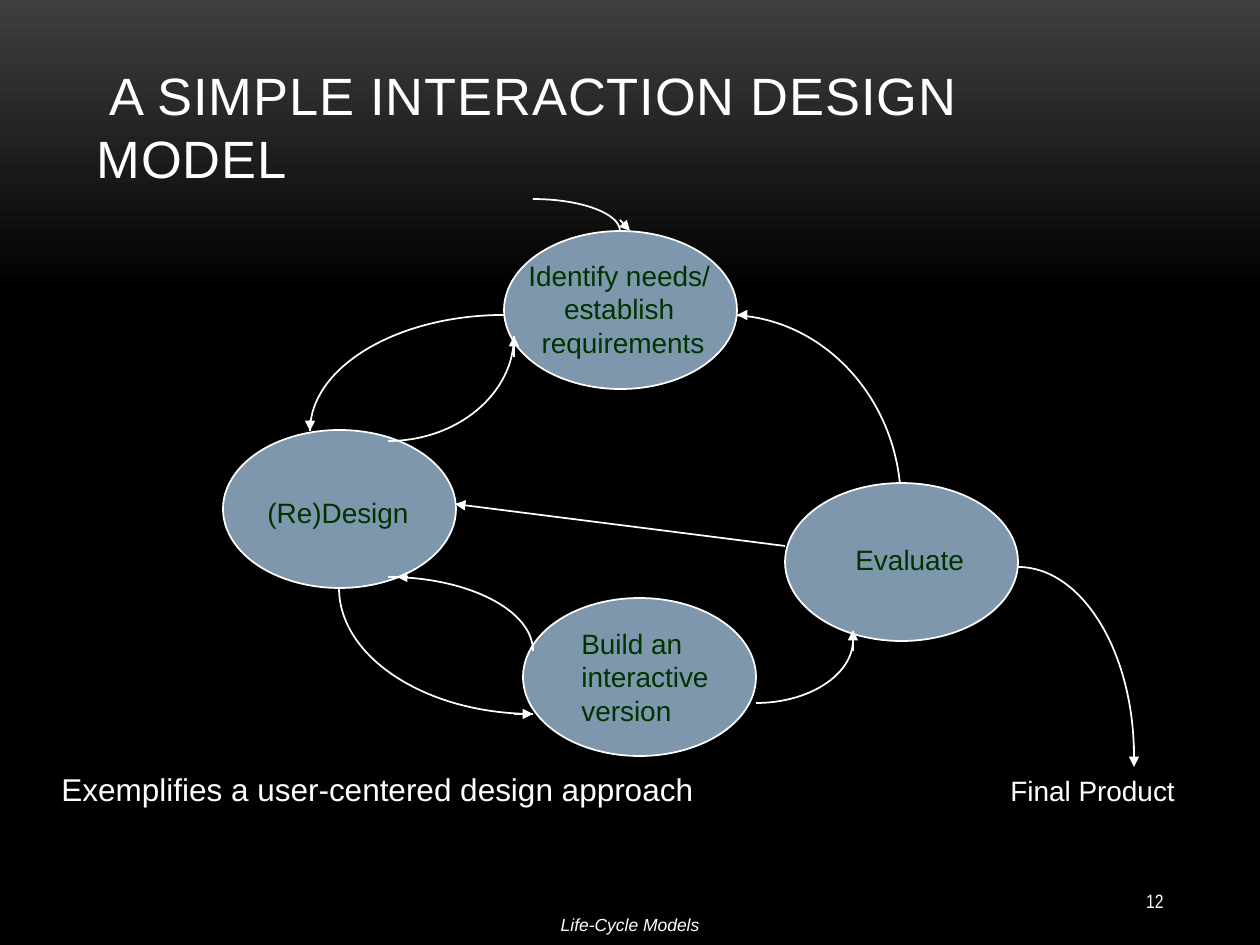
from copy import deepcopy

from lxml.etree import SubElement
from pptx import Presentation
from pptx.dml.color import RGBColor
from pptx.enum.shapes import MSO_CONNECTOR, MSO_SHAPE
from pptx.enum.text import MSO_ANCHOR, PP_ALIGN as ALIGN
from pptx.oxml.ns import qn
from pptx.util import Pt

PX = 914400 / 126
BEND = 0.55  # control-point share that makes a Bezier a quarter ellipse
WHITE, BLUE, GREEN = "FFFFFF", "7E97AD", "003300"
rgb = RGBColor.from_string


def emu(*lengths):
    """Turn px lengths into EMU."""
    return [round(length * PX) for length in lengths]


def write(frame, text, size, color, align=ALIGN.LEFT, font="Arial", italic=False):
    frame.text = text
    for paragraph in frame.paragraphs:
        paragraph.alignment = align
        for run in paragraph.runs:
            run.font.name = font
            run.font.size = Pt(size)
            run.font.italic = italic
            run.font.color.rgb = rgb(color)


prs = Presentation()
prs.slide_width, prs.slide_height = emu(1260, 945)
slide = prs.slides.add_slide(prs.slide_layouts[5])
shapes = slide.shapes

# Background: dark grey fading to black in the top third
backdrop = slide.background.fill
backdrop.gradient()
backdrop.gradient_angle = 270
fade_start, fade_end = backdrop.gradient_stops
fade_start.color.rgb, fade_start.position = rgb("3F3F3F"), 0
fade_end.color.rgb, fade_end.position = rgb("000000"), 0.31
last_stop = list(slide.element.iter(qn("a:gs")))[-1]
bottom_stop = deepcopy(last_stop)
bottom_stop.set("pos", "100000")
last_stop.addnext(bottom_stop)

title = shapes.title
title.left, title.top, title.width, title.height = emu(84, 38, 1092, 157)
title.text_frame.vertical_anchor = MSO_ANCHOR.BOTTOM
title.text_frame.margin_right = emu(30)[0]
write(title.text_frame, " A SIMPLE INTERACTION DESIGN MODEL", 30, WHITE)
title.text_frame.paragraphs[0].runs[0].font._element.set("spc", "50")

# Curved paths, each from its horizontal end to its vertical end
curves = [
    (727, 315, 901, 504),   # evaluate to requirements
    (504, 315, 310, 431),   # requirements to design
    (388, 441, 514, 336),   # design to requirements
    (533, 714, 339, 588),   # design to build
    (388, 577, 533, 651),   # build to design
    (756, 703, 853, 640),   # build to evaluate
    (1018, 567, 1134, 756), # evaluate to final product
    (533, 199, 620, 231),   # entry to requirements
]
stages = [(504, 231), (223, 430), (785, 483), (523, 598)]

drawn_curves = []
for x1, y1, x2, y2 in curves:
    builder = shapes.build_freeform(*emu(x1, y1))
    controls = [(x1 + BEND * (x2 - x1), y1), (x2, y2 - BEND * (y2 - y1)), (x2, y2)]
    builder.add_line_segments([emu(*point) for point in controls], close=False)
    curve = builder.convert_to_shape()
    curve.shadow.inherit = False
    curve.fill.background()
    curve.line.color.rgb = rgb(WHITE)
    curve.line.width = Pt(1)
    outline = next(curve._element.iter(qn("a:path")))
    bezier = SubElement(outline, qn("a:cubicBezTo"))
    for segment in outline.findall(qn("a:lnTo")):
        bezier.append(segment[0])
        outline.remove(segment)
    drawn_curves.append(curve)

for left, top in stages:
    stage = shapes.add_shape(MSO_SHAPE.OVAL, *emu(left, top, 233, 158))
    stage.shadow.inherit = False
    stage.fill.solid()
    stage.fill.fore_color.rgb = rgb(BLUE)
    stage.line.color.rgb = rgb(WHITE)
    stage.line.width = Pt(1)

# Only the first curve runs behind the ellipses
for curve in drawn_curves[1:]:
    shapes._spTree.append(curve._element)

arrows = [
    (1134, 746, 1134, 767),
    (407, 577, 397, 577),
    (514, 714, 533, 714),
    (310, 420, 310, 431),
    (514, 357, 514, 336),
    (785, 546, 455, 504),
    (853, 651, 853, 630),
    (620, 220, 630, 231),
    (746, 315, 737, 315),
]
for ends in arrows:
    arrow = shapes.add_connector(MSO_CONNECTOR.STRAIGHT, *emu(*ends))
    arrow.line.color.rgb = rgb(WHITE)
    arrow.line.width = Pt(1)
    SubElement(arrow.line._get_or_add_ln(), qn("a:tailEnd"), type="triangle")
    SubElement(arrow._element.spPr, qn("a:effectLst"))

labels = [
    ((843, 536, 135, 47), "Evaluate", 16, GREEN, ALIGN.LEFT),
    ((255, 489, 168, 47), "(Re)Design", 16, GREEN, ALIGN.LEFT),
    ((514, 252, 218, 115), "Identify needs/ \nestablish \nrequirements", 16, GREEN, ALIGN.CENTER),
    ((569, 620, 163, 115), "Build an\ninteractive\nversion", 16, GREEN, ALIGN.LEFT),
    ((998, 767, 192, 47), "Final Product", 16, WHITE, ALIGN.LEFT),
    ((49, 764, 680, 54), "Exemplifies a user-centered design approach", 18, WHITE, ALIGN.LEFT),
]
for box, text, size, color, align in labels:
    label = shapes.add_textbox(*emu(*box))
    label.text_frame.word_wrap = False
    write(label.text_frame, text, size, color, align)

footer = shapes.add_textbox(*emu(0, 908, 1260, 34))
footer.text_frame.word_wrap = True
write(footer.text_frame, "Life-Cycle Models", 10, WHITE, ALIGN.CENTER, italic=True)

page_number = shapes.add_textbox(*emu(1040, 876, 136, 50))
page_number.text_frame.word_wrap = True
page_number.text_frame.vertical_anchor = MSO_ANCHOR.MIDDLE
write(page_number.text_frame, "12", 11, WHITE, ALIGN.RIGHT, font="Arial Narrow")

prs.save("out.pptx")
